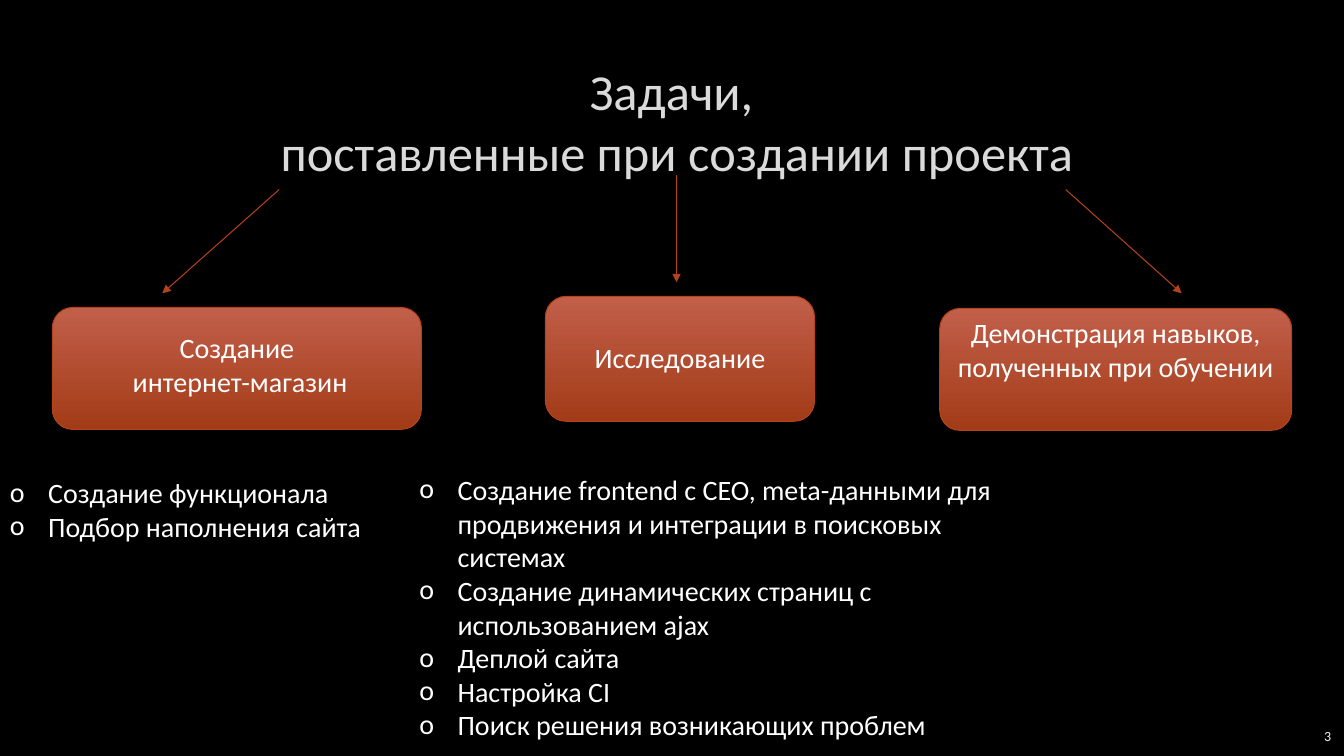
from lxml import etree
from pptx import Presentation
from pptx.dml.color import RGBColor
from pptx.enum.shapes import MSO_CONNECTOR, MSO_SHAPE
from pptx.enum.text import MSO_ANCHOR, PP_ALIGN
from pptx.oxml.ns import qn
from pptx.util import Inches, Pt

LEFT, CENTER, RIGHT = PP_ALIGN.LEFT, PP_ALIGN.CENTER, PP_ALIGN.RIGHT
TOP, MIDDLE = MSO_ANCHOR.TOP, MSO_ANCHOR.MIDDLE
ROUNDED, STRAIGHT = MSO_SHAPE.ROUNDED_RECTANGLE, MSO_CONNECTOR.STRAIGHT

THEME = {
    "font": "Calibri",
    "background": RGBColor.from_string("000000"),
    "accent": RGBColor.from_string("B4421A"),
    "gradient": [RGBColor.from_string(c) for c in ("C25F4A", "A23B17")],
    "line": Pt(0.75),
    "title": {"size": Pt(36), "color": RGBColor.from_string("DADADA")},
    "body": {"size": Pt(20), "color": RGBColor.from_string("FFFFFF")},
    "number": {"size": Pt(10), "color": RGBColor.from_string("F2F2F2")},
}
BULLET_INDENT = Inches(0.38)

prs = Presentation()
prs.slide_width, prs.slide_height = Inches(13.33), Inches(7.5)
s = prs.slides.add_slide(prs.slide_layouts[6])
s.background.fill.solid()
s.background.fill.fore_color.rgb = THEME["background"]


def add_text(box, lines, style="body", align=CENTER, anchor=TOP, bullet=None):
    tf = s.shapes.add_textbox(*map(Inches, box)).text_frame
    tf.word_wrap, tf.vertical_anchor = True, anchor
    for i, line in enumerate(lines):
        p = tf.add_paragraph() if i else tf.paragraphs[0]
        p.text, p.alignment = line, align
        if bullet:
            pPr = p._p.get_or_add_pPr()
            pPr.set("marL", str(BULLET_INDENT))
            pPr.set("indent", str(-BULLET_INDENT))
            etree.SubElement(pPr, qn("a:buFont")).set("typeface", THEME["font"])
            etree.SubElement(pPr, qn("a:buChar")).set("char", bullet)
        for r in p.runs:
            r.font.name = THEME["font"]
            r.font.size = THEME[style]["size"]
            r.font.color.rgb = THEME[style]["color"]


add_text((1, 0.67, 11.32, 1.06), ["Задачи,\v поставленные при создании проекта"],
         "title", anchor=MIDDLE)

# Each task: arrow ends, rounded box, label top and height, label lines
tasks = [
    ((2.77, 1.88, 1.61, 2.91), (0.52, 3.05, 3.66, 1.21), (3.23, 0.77),
     ["Создание", " интернет-магазин"]),
    ((6.71, 1.74, 6.71, 2.8), (5.41, 2.94, 2.67, 1.24), (3.33, 0.45),
     ["Исследование"]),
    ((10.57, 1.88, 11.72, 2.91), (9.32, 3.06, 3.49, 1.21), (3.08, 1.11),
     ["Демонстрация навыков, полученных при обучении"]),
]
for ends, box, (label_top, label_height), label in tasks:
    arrow = s.shapes.add_connector(STRAIGHT, *map(Inches, ends))
    arrow.line.color.rgb, arrow.line.width = THEME["accent"], THEME["line"]
    etree.SubElement(arrow.line._get_or_add_ln(), qn("a:tailEnd")).set("type", "triangle")
    etree.SubElement(arrow._element.spPr, qn("a:effectLst"))

    sp = s.shapes.add_shape(ROUNDED, *map(Inches, box))
    sp.shadow.inherit = False
    sp.line.color.rgb, sp.line.width = THEME["accent"], THEME["line"]
    sp.fill.gradient()
    sp.fill.gradient_angle = 270
    for stop, color, position in zip(sp.fill.gradient_stops, THEME["gradient"], (0, 1)):
        stop.color.rgb, stop.position = color, position

    add_text((box[0], label_top, box[2], label_height), label)

details = [
    ((0, 4.67, 4.18, 1.11), ["Создание функционала", "Подбор наполнения сайта"]),
    ((4.06, 4.64, 5.99, 2.8), [
        "Создание frontend с CEO, meta-данными для продвижения и интеграции "
        "в поисковых системах",
        "Создание динамических страниц с использованием ajax",
        "Деплой сайта",
        "Настройка CI",
        "Поиск решения возникающих проблем",
    ]),
]
for box, lines in details:
    add_text(box, lines, align=LEFT, bullet="o")

add_text((12.48, 7.1, 0.82, 0.4), ["3"], "number", RIGHT, MIDDLE)

prs.save("out.pptx")
